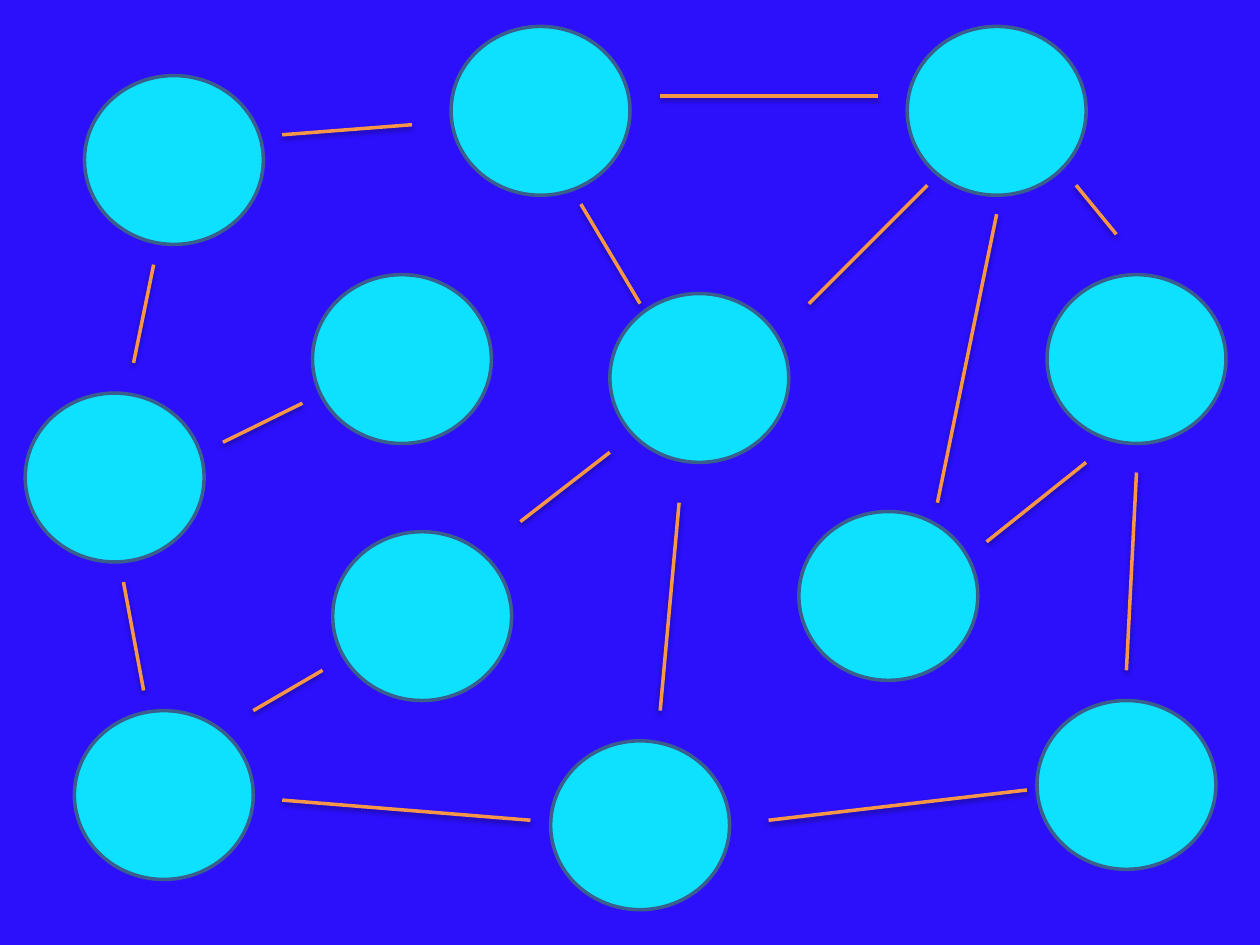
from lxml.etree import SubElement
from pptx import Presentation
from pptx.dml.color import RGBColor
from pptx.enum.shapes import MSO_CONNECTOR, MSO_SHAPE
from pptx.oxml.ns import qn
from pptx.util import Emu, Pt

PX_PER_INCH = 100
SCALE = 914400 // PX_PER_INCH
SLIDE_BOX = (0, 0, 1000, 750)
NODE_WIDTH, NODE_HEIGHT = 142, 134
STROKE = Pt(2)

COLORS = {
    "background": "2C10FC",
    "node": "0EE1FE",
    "node_edge": "3A5F8C",
    "link": "F79646",
    "shadow": "000000",
}

NODES = [
    (67, 60), (720, 21), (634, 406), (437, 588), (484, 233), (59, 564),
    (831, 218), (823, 556), (264, 422), (20, 312), (358, 21), (248, 218),
]

LINKS = [
    ((524, 76), (697, 76)),
    ((736, 147), (642, 241)),
    ((791, 170), (744, 399)),
    ((854, 147), (886, 186)),
    ((783, 430), (862, 367)),
    ((902, 375), (894, 532)),
    ((224, 107), (327, 99)),
    ((413, 414), (484, 359)),
    ((461, 162), (508, 241)),
    ((177, 351), (240, 320)),
    ((539, 399), (524, 564)),
    ((610, 651), (815, 627)),
    ((224, 635), (421, 651)),
    ((106, 288), (122, 210)),
    ((98, 462), (114, 548)),
    ((201, 564), (256, 532)),
]


def px(length):
    return Emu(length * SCALE)


def color(name):
    return RGBColor.from_string(COLORS[name])


def stroke(line, name):
    line.color.rgb = color(name)
    line.width = STROKE


def add_shadow(link):
    effects = SubElement(link._element.spPr, qn("a:effectLst"))
    shadow = SubElement(
        effects, qn("a:outerShdw"), blurRad="40000", dist="20000",
        dir="5400000", rotWithShape="0",
    )
    tint = SubElement(shadow, qn("a:srgbClr"), val=COLORS["shadow"])
    SubElement(tint, qn("a:alpha"), val="38000")


def draw_nodes(slide, box):
    left, top, _, _ = box
    for x, y in NODES:
        node = slide.shapes.add_shape(
            MSO_SHAPE.OVAL, px(left + x), px(top + y),
            px(NODE_WIDTH), px(NODE_HEIGHT),
        )
        node.shadow.inherit = False
        node.fill.solid()
        node.fill.fore_color.rgb = color("node")
        stroke(node.line, "node_edge")


def draw_links(slide, box):
    left, top, _, _ = box
    for (start_x, start_y), (end_x, end_y) in LINKS:
        link = slide.shapes.add_connector(
            MSO_CONNECTOR.STRAIGHT, px(left + start_x), px(top + start_y),
            px(left + end_x), px(top + end_y),
        )
        stroke(link.line, "link")
        add_shadow(link)


def draw_network(slide, box):
    slide.background.fill.solid()
    slide.background.fill.fore_color.rgb = color("background")
    draw_nodes(slide, box)
    draw_links(slide, box)


def main():
    presentation = Presentation()
    presentation.slide_width = px(SLIDE_BOX[2])
    presentation.slide_height = px(SLIDE_BOX[3])
    slide = presentation.slides.add_slide(presentation.slide_layouts[6])
    draw_network(slide, SLIDE_BOX)
    presentation.save("out.pptx")


if __name__ == "__main__":
    main()
